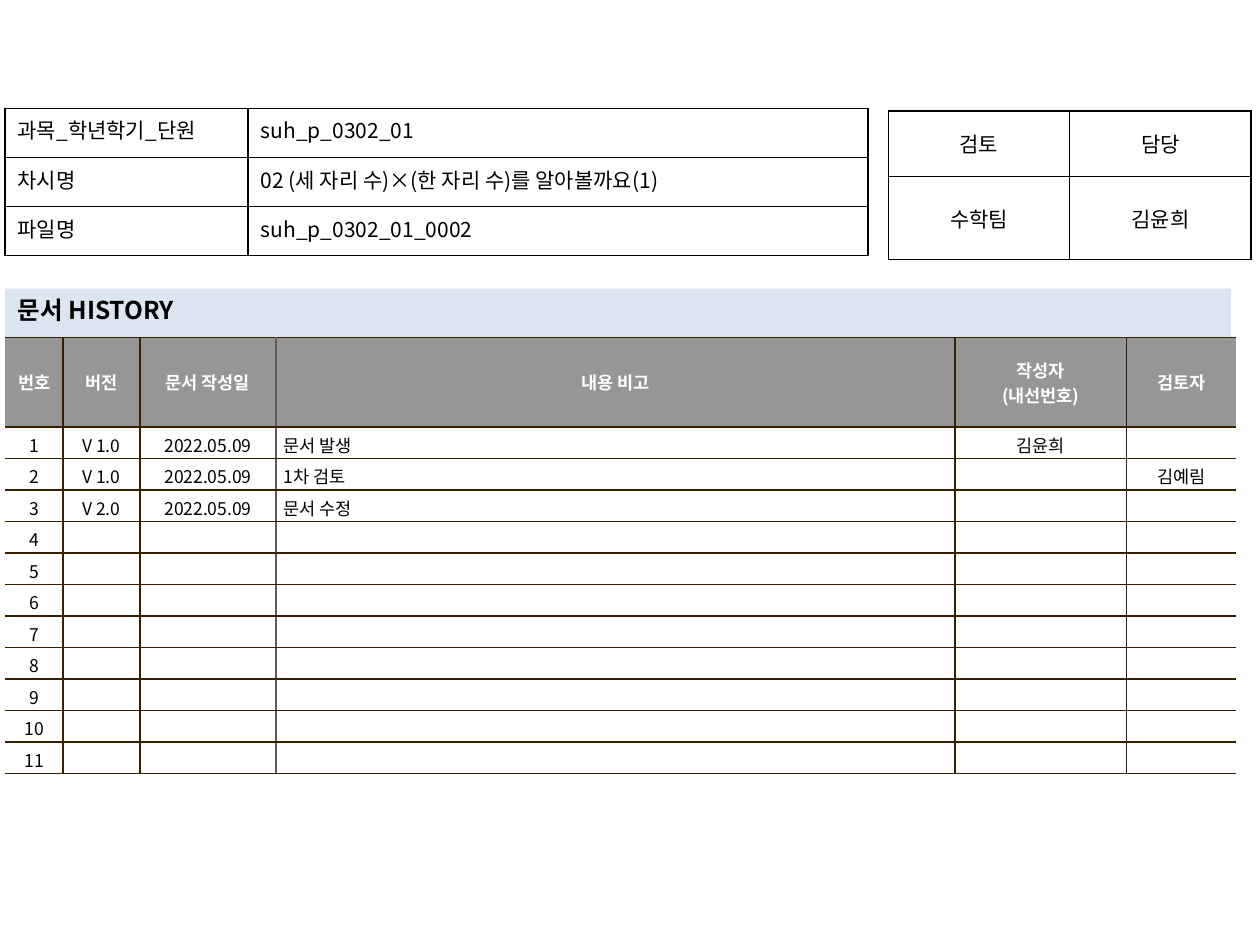
from dataclasses import dataclass
from lxml.etree import SubElement
from pptx import Presentation
from pptx.dml.color import RGBColor
from pptx.enum.text import MSO_ANCHOR, MSO_AUTO_SIZE, PP_ALIGN
from pptx.oxml.ns import qn
from pptx.util import Inches, Pt


@dataclass(frozen=True)
class Theme:
    font: str = "Noto Sans CJK KR"
    ink: str = "000000"
    white: str = "FFFFFF"
    band: str = "DCE6F2"
    head: str = "969696"
    rule: str = "362000"
    soft: str = "645B4C"
    small: int = 10
    body: int = 12
    title: int = 14


THEME = Theme()
LEFT, MID, JUST = PP_ALIGN.LEFT, PP_ALIGN.CENTER, PP_ALIGN.JUSTIFY


def style(frame, size, color, bold, align):
    """Format every paragraph and run of a text frame."""
    for para in frame.paragraphs:
        para.alignment = align
        for run in para.runs:
            font = run.font
            font.size, font.bold, font.name = Pt(size), bold, THEME.font
            font.color.rgb = RGBColor.from_string(color)
            SubElement(font._element, qn("a:ea"), typeface=THEME.font)
        if not para.runs:
            SubElement(para._p, qn("a:endParaRPr"), sz=str(size * 100))


def edge(cell, sides):
    """Draw cell borders; sides gives left, right, top and bottom colours."""
    props = cell._tc.get_or_add_tcPr()
    for side, color in zip("LRTB", sides):
        line = SubElement(props, qn(f"a:ln{side}"), w=str(Pt(1)))
        if color:
            fill = SubElement(line, qn("a:solidFill"))
            SubElement(fill, qn("a:srgbClr"), val=color)
        else:
            SubElement(line, qn("a:noFill"))


def grid(slide, box, cols, rows):
    """Add a plain table with the given column widths and row heights."""
    frame = slide.shapes.add_table(len(rows), len(cols), *map(Inches, box))
    table = frame.table
    table.first_row = table.horz_banding = False
    for col, width in zip(table.columns, cols):
        col.width = Inches(width)
    for row, height in zip(table.rows, rows):
        row.height = Inches(height)
    return table


def inset(cell, side, top):
    cell.margin_left = cell.margin_right = Inches(side)
    cell.margin_top = cell.margin_bottom = Inches(top)


def panel(slide, box, cols, rows, data, aligns, anchor):
    """Black-ruled information table."""
    table = grid(slide, box, cols, rows)
    for r, texts in enumerate(data):
        for c, text in enumerate(texts):
            cell = table.cell(r, c)
            inset(cell, 0.1, 0.05)
            cell.vertical_anchor = anchor
            edge(cell, [THEME.ink] * 4)
            cell.fill.background()
            cell.text_frame.text = text
            style(cell.text_frame, THEME.body, THEME.ink, False, aligns[c])


def heading(slide, box, text):
    """Title on a pale band."""
    title = slide.shapes.title
    title.left, title.top, title.width, title.height = map(Inches, box)
    title.fill.solid()
    title.fill.fore_color.rgb = RGBColor.from_string(THEME.band)
    frame = title.text_frame
    frame.text = text
    frame.word_wrap = True
    frame.auto_size = MSO_AUTO_SIZE.SHAPE_TO_FIT_TEXT
    frame.vertical_anchor = MSO_ANCHOR.TOP
    frame.margin_left = frame.margin_right = Inches(0.1)
    frame.margin_top = frame.margin_bottom = Inches(0.05)
    style(frame, THEME.title, THEME.ink, True, LEFT)


def history(slide, box, cols, names, notes, count):
    """Numbered revision log, open at its left and right ends."""
    note = 3
    rows = [0.71] + [0.25] * count
    table = grid(slide, box, cols, rows)
    # Upright rules between columns
    rules = [None] + [THEME.rule] * (len(cols) - 1) + [None]
    rules[note] = THEME.soft
    blank = [""] * (len(cols) - 1)
    data = [names]
    for n in range(count):
        data.append([str(n + 1), *(notes[n] if n < len(notes) else blank)])
    for r, texts in enumerate(data):
        top = r == 0
        for c, text in enumerate(texts):
            cell = table.cell(r, c)
            inset(cell, 0.06, 0.04)
            cell.vertical_anchor = MSO_ANCHOR.MIDDLE
            edge(cell, [rules[c], rules[c + 1], THEME.rule, THEME.rule])
            cell.fill.solid()
            fill = THEME.head if top else THEME.white
            cell.fill.fore_color.rgb = RGBColor.from_string(fill)
            cell.text_frame.text = text
            style(cell.text_frame, THEME.small,
                  THEME.white if top else THEME.ink, top,
                  LEFT if c == note and not top else MID)


def main():
    deck = Presentation()
    deck.slide_width, deck.slide_height = Inches(10), Inches(7.5)
    slide = deck.slides.add_slide(deck.slide_layouts[5])

    # Revision log
    history(slide, (0.04, 2.68, 9.77, 3.46),
            [0.46, 0.61, 1.08, 5.39, 1.36, 0.87],
            ["번호", "버전", "문서 작성일", "내용 비고",
             "작성자\n(내선번호)", "검토자"],
            [["V 1.0", "2022.05.09", "문서 발생", "김윤희", ""],
             ["V 1.0", "2022.05.09", "1차 검토", "", "김예림"],
             ["V 2.0", "2022.05.09", "문서 수정", "", ""]], 11)

    # Sign-off
    panel(slide, (7.05, 0.88, 2.88, 1.18), [1.44] * 2, [0.52, 0.66],
          [["검토", "담당"], ["수학팀", "김윤희"]],
          [MID, MID], MSO_ANCHOR.MIDDLE)

    heading(slide, (0.04, 2.29, 9.73, 0.34), "문서 HISTORY")

    # Lesson details
    panel(slide, (0.04, 0.86, 6.85, 1.18), [1.93, 4.92], [0.39] * 3,
          [["과목_학년학기_단원", "suh_p_0302_01"],
           ["차시명", "02 (세 자리 수)×(한 자리 수)를 알아볼까요(1)"],
           ["파일명", "suh_p_0302_01_0002"]],
          [JUST, LEFT], MSO_ANCHOR.TOP)

    deck.save("out.pptx")


if __name__ == "__main__":
    main()
